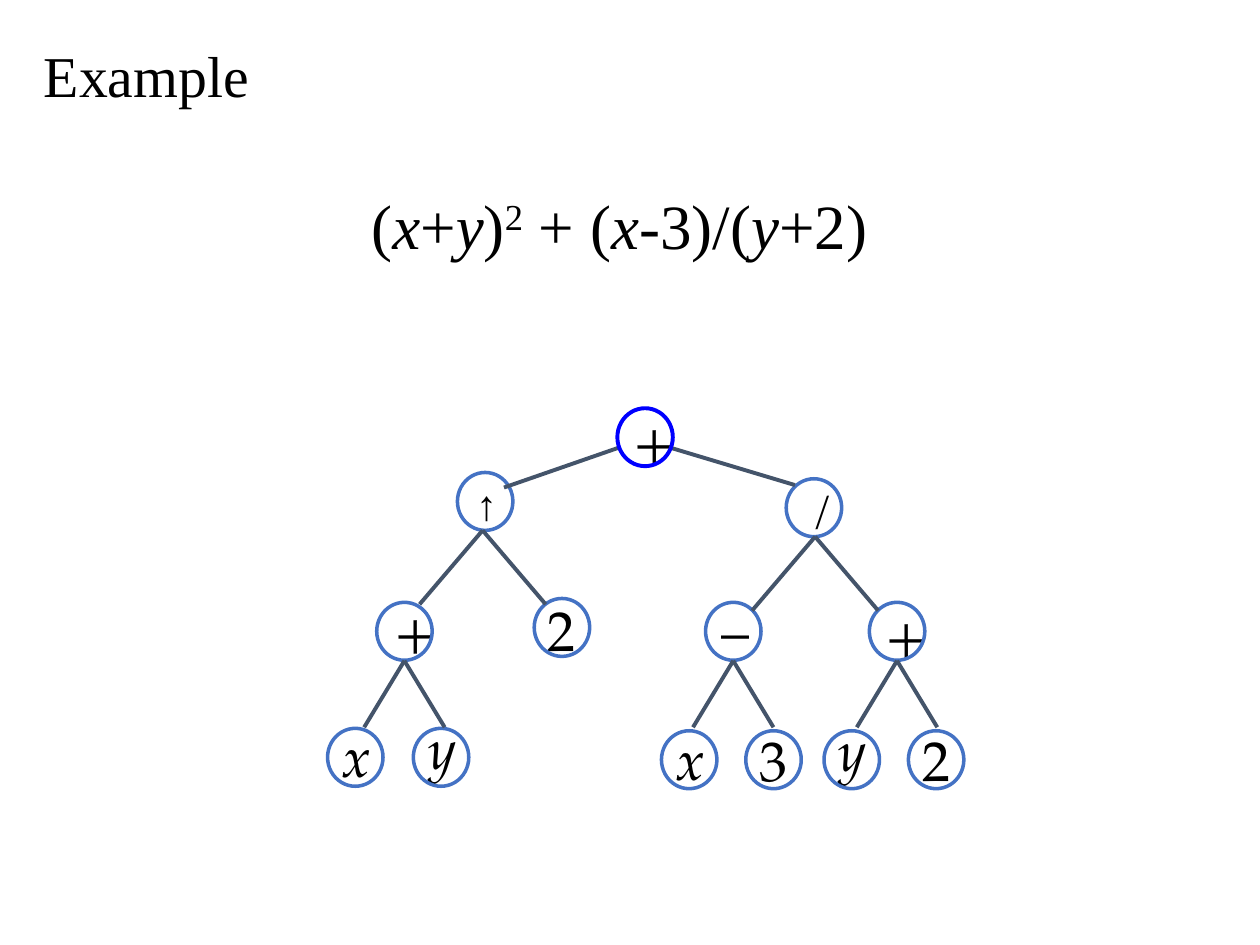
from pptx import Presentation
from pptx.dml.color import RGBColor as RGB
from pptx.enum.shapes import MSO_CONNECTOR as CONN, MSO_SHAPE as SHAPE
from pptx.enum.text import MSO_ANCHOR as ANCHOR, MSO_AUTO_SIZE as AUTO, PP_ALIGN as ALIGN
from pptx.oxml.ns import qn
from pptx.util import Pt
from lxml.etree import SubElement as Sub

SERIF, BOOK, SANS = "Times New Roman", "TeX Gyre Pagella", "Arial"
BLACK, BLUE, ROOT, SLATE = "000000", "4472C4", "0000FF", "44546A"
NODE_W, NODE_H = 31.7, 33.1

# Label width, font size and font of each symbol
LABELS = {
    "+": (32.4, 32, BOOK), "–": (30.2, 32, BOOK),
    "2": (32.4, 32, BOOK), "3": (32.4, 32, BOOK),
    "x": (31.7, 32, BOOK), "y": (31, 32, BOOK),
    "/": (20.9, 24, BOOK), "↑": (23.8, 24, SANS),
}

# Symbol, circle left and top, label shift right and down
NODES = [
    ("↑", 261.4, 270, 3.6, 0), ("/", 449.3, 273.6, 7.9, -2.2),
    ("+", 215.3, 344.2, 2.9, -7.2), ("2", 305.3, 342, 0.7, -5),
    ("–", 403.2, 344.2, 2.2, -7.2), ("+", 496.8, 344.2, 2.2, -5),
    ("x", 187.2, 416.2, 1.4, -7.2), ("y", 236.2, 416.2, 1.4, -12.2),
    ("x", 378, 417.6, 1.4, -7.2), ("3", 426.2, 417.6, 0.7, -6.5),
    ("y", 470.9, 417.6, 1.4, -12.2), ("2", 519.1, 417.6, 0.7, -6.5),
]

# Apex of each fork, half its spread and its drop
FORKS = [
    (275.8, 303.1, 36, 42.2), (465.8, 306.7, 36, 42.2),
    (231.1, 377.6, 23, 38), (419, 377.6, 23, 38), (512.6, 377.6, 23, 38),
]


def color(code):
    return RGB.from_string(code)


def add_run(para, text, size=32, font=BOOK, italic=False, raised=False):
    run = para.add_run()
    run.text = text
    run.font.size = Pt(size)
    run.font.name = font
    run.font.italic = italic
    run.font.color.rgb = color(BLACK)
    if raised:
        run.font._element.set("baseline", "30000")


def add_box(slide, left, top, width, height, wrap=True):
    box = slide.shapes.add_textbox(Pt(left), Pt(top), Pt(width), Pt(height))
    box.text_frame.word_wrap = wrap
    return box.text_frame


def add_line(slide, x1, y1, x2, y2):
    line = slide.shapes.add_connector(CONN.STRAIGHT, Pt(x1), Pt(y1), Pt(x2), Pt(y2))
    line.line.color.rgb = color(SLATE)
    line.line.width = Pt(2.25)
    Sub(line._element.spPr, qn("a:effectLst"))


def add_fork(slide, x, y, half, drop):
    for side in (-half, half):
        add_line(slide, x, y, x + side, y + drop)


def add_node(slide, sym, left, top, dx, dy, edge=BLUE, weight=2):
    width, size, font = LABELS[sym]
    frame = add_box(slide, left + dx, top + dy, width, 46 if size == 32 else 36, wrap=False)
    frame.auto_size = AUTO.SHAPE_TO_FIT_TEXT
    add_run(frame.paragraphs[0], sym, size=size, font=font, italic=sym.isalpha())
    ring = slide.shapes.add_shape(SHAPE.OVAL, Pt(left), Pt(top), Pt(NODE_W), Pt(NODE_H))
    ring.shadow.inherit = False
    ring.fill.background()
    ring.line.color.rgb = color(edge)
    ring.line.width = Pt(weight)


def add_title(slide):
    frame = add_box(slide, 18, 12.2, 684, 66.2)
    frame.vertical_anchor = ANCHOR.MIDDLE
    para = frame.paragraphs[0]
    para.line_spacing = 0.9
    add_run(para, "Example", size=33, font=SERIF)


def add_formula(slide):
    para = add_box(slide, 18, 108, 671.8, 87.8).paragraphs[0]
    para.alignment = ALIGN.CENTER
    para.line_spacing = 0.9
    props = para._p.get_or_add_pPr()
    props.set("marL", str(Pt(13.5)))
    props.set("indent", str(Pt(-13.5)))
    for text in ("(", "x", "+", "y", ")", "2", " + (", "x", "-3)/(", "y", "+2)"):
        add_run(para, text, size=36, font=SERIF, italic=text.isalpha(), raised=text == "2")


def main():
    deck = Presentation()
    deck.slide_width, deck.slide_height = Pt(720), Pt(540)
    slide = deck.slides.add_slide(deck.slide_layouts[6])

    # Heading and expression
    add_title(slide)
    add_formula(slide)

    # Expression tree
    for node in NODES:
        add_node(slide, *node)
    for fork in FORKS:
        add_fork(slide, *fork)

    # Root and its two branches
    add_line(slide, 454.3, 277.2, 382.3, 255.6)
    add_line(slide, 288, 278.6, 354.2, 255.6)
    add_node(slide, "+", 352.8, 233.3, 2.2, -5, edge=ROOT, weight=2.25)

    deck.save("out.pptx")


if __name__ == "__main__":
    main()
